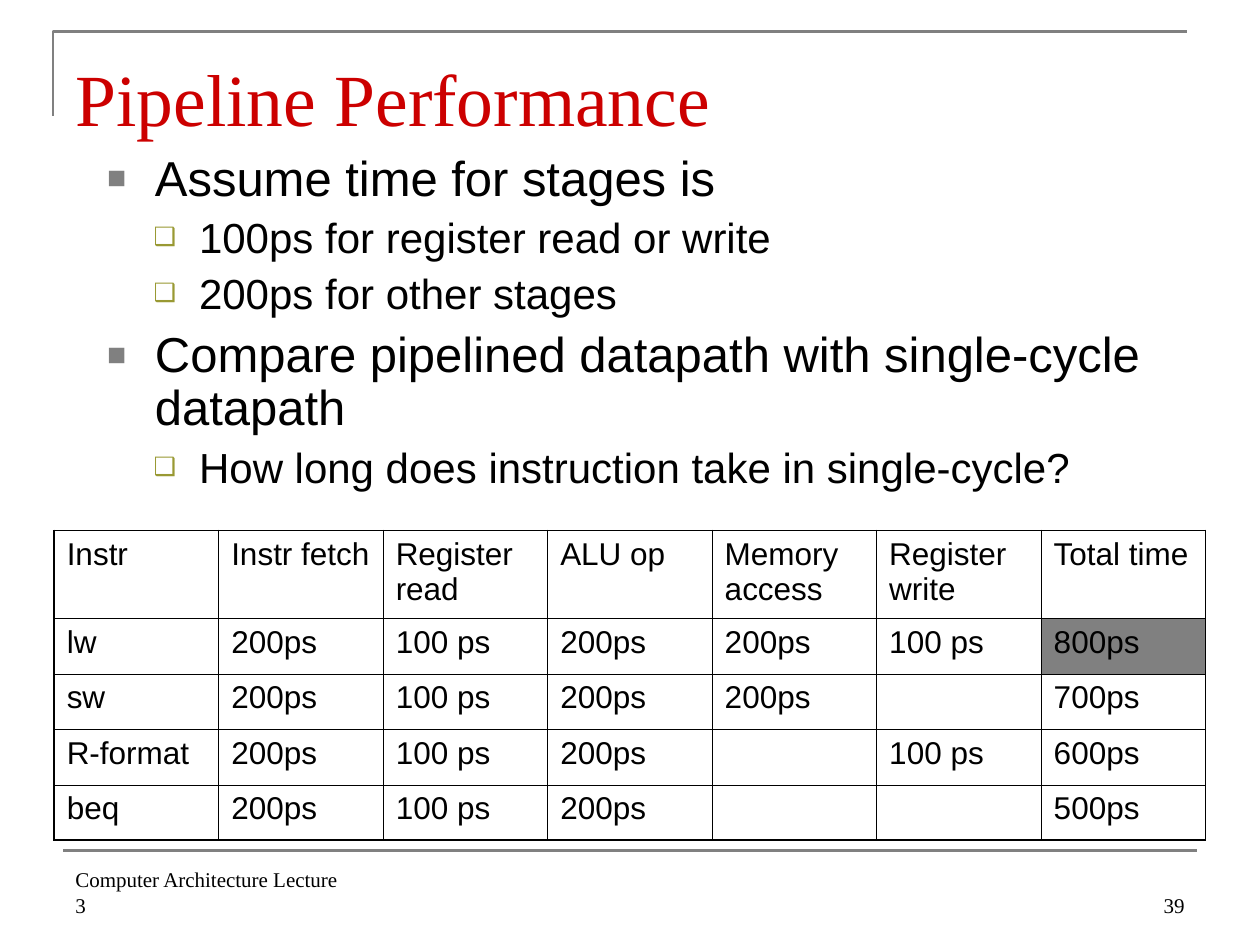
from dataclasses import dataclass

import pptx
import pptx.dml.color
import pptx.enum.shapes
import pptx.enum.text
import pptx.oxml
import pptx.oxml.ns
import pptx.util
from pptx.util import Inches


@dataclass(frozen=True)
class Theme:
    serif: str = "Times New Roman"
    sans: str = "Arial"
    title: str = "CC0000"
    text: str = "000000"
    gray: str = "808080"
    olive: str = "999933"
    title_size: int = 42
    body_sizes: tuple = (28, 24)
    table_size: int = 18
    footer_size: int = 12


THEME = Theme()
ALIGN = pptx.enum.text.PP_ALIGN
ANCHOR = pptx.enum.text.MSO_ANCHOR

# Per list level: bullet, colour, bullet size %, indent, hanging, space before
LEVELS = [
    ("■", THEME.gray, 65, 0.38, 0.38, 7),
    ("❑", THEME.olive, 60, 0.73, 0.36, 6),
]

BULLETS = [
    (0, "Assume time for stages is"),
    (1, "100ps for register read or write"),
    (1, "200ps for other stages"),
    (0, "Compare pipelined datapath with single-cycle datapath"),
    (1, "How long does instruction take in single-cycle?"),
]

STAGE_TIMES = [
    ["Instr", "Instr fetch", "Register read", "ALU op", "Memory access",
     "Register write", "Total time"],
    ["lw", "200ps", "100 ps", "200ps", "200ps", "100 ps", "800ps"],
    ["sw", "200ps", "100 ps", "200ps", "200ps", "", "700ps"],
    ["R-format", "200ps", "100 ps", "200ps", "", "100 ps", "600ps"],
    ["beq", "200ps", "100 ps", "200ps", "", "", "500ps"],
]
HIGHLIGHT = (1, 6)
OUTER, HEADER, INNER = 1.08, 0.75, 0.45


def rgb(color):
    return pptx.dml.color.RGBColor.from_string(color)


def add_xml(parent, xml):
    declared = xml.replace(" ", f" {pptx.oxml.ns.nsdecls('a')} ", 1)
    parent.append(pptx.oxml.parse_xml(declared))


def set_font(p, name, size, color):
    p.font.name = name
    p.font.size = pptx.util.Pt(size)
    p.font.color.rgb = rgb(color)


def set_line(shape):
    shape.line.color.rgb = rgb(THEME.gray)
    shape.line.width = pptx.util.Pt(1.5)


def place(shape, left, top, width, height):
    shape.left, shape.top = Inches(left), Inches(top)
    shape.width, shape.height = Inches(width), Inches(height)


def add_frame(s):
    builder = s.shapes.build_freeform(Inches(0.42), Inches(0.92))
    corner = [(Inches(0.42), Inches(0.25)), (Inches(9.42), Inches(0.25))]
    builder.add_line_segments(corner, close=False)
    bracket = builder.convert_to_shape()
    bracket.shadow.inherit = False
    bracket.fill.background()
    set_line(bracket)

    rule = s.shapes.add_connector(
        pptx.enum.shapes.MSO_CONNECTOR.STRAIGHT,
        Inches(0.5), Inches(6.75), Inches(9.5), Inches(6.75))
    set_line(rule)
    add_xml(rule.element.spPr, "<a:effectLst />")


def fill_title(title, text):
    place(title, 0.5, 0.3, 9, 0.78)
    tf = title.text_frame
    tf.auto_size = pptx.enum.text.MSO_AUTO_SIZE.NONE
    tf.vertical_anchor = ANCHOR.TOP
    tf.margin_top, tf.margin_bottom = Inches(0.12), 0
    p = tf.paragraphs[0]
    p.text = text
    p.alignment = ALIGN.LEFT
    set_font(p, THEME.serif, THEME.title_size, THEME.title)


def fill_body(body, bullets):
    place(body, 0.75, 1.17, 9.04, 2.84)
    tf = body.text_frame
    tf.auto_size = pptx.enum.text.MSO_AUTO_SIZE.NONE
    tf.vertical_anchor = ANCHOR.TOP
    for i, (level, text) in enumerate(bullets):
        char, color, percent, indent, hanging, before = LEVELS[level]
        p = tf.add_paragraph() if i else tf.paragraphs[0]
        p.text = text
        p.level = level
        p.line_spacing = 0.9
        p.space_before = pptx.util.Pt(before if i else 0)
        pPr = p._p.get_or_add_pPr()
        pPr.set("marL", str(Inches(indent)))
        pPr.set("indent", str(-Inches(hanging)))
        add_xml(pPr, f'<a:buClr ><a:srgbClr val="{color}"/></a:buClr>')
        add_xml(pPr, f'<a:buSzPct val="{percent * 1000}"/>')
        add_xml(pPr, f'<a:buChar char="{char}"/>')
        set_font(p, THEME.sans, THEME.body_sizes[level], THEME.text)


def set_borders(cell, **widths):
    tcPr = cell._tc.get_or_add_tcPr()
    for side in "LRTB":
        add_xml(tcPr, f'<a:ln{side} w="{pptx.util.Pt(widths[side])}">'
                      f'<a:solidFill><a:srgbClr val="{THEME.text}"/>'
                      f'</a:solidFill></a:ln{side}>')


def add_stage_table(s, rows):
    n_rows, n_cols = len(rows), len(rows[0])
    table = s.shapes.add_table(n_rows, n_cols, Inches(0.43), Inches(4.21),
                               Inches(9.14), Inches(2.46)).table
    table.first_row = table.horz_banding = False
    for r, texts in enumerate(rows):
        table.rows[r].height = Inches(0.44 if r else 0.7)
        for c, text in enumerate(texts):
            cell = table.cell(r, c)
            set_borders(
                cell,
                L=INNER if c else OUTER,
                R=OUTER if c == n_cols - 1 else INNER,
                T={0: OUTER, 1: HEADER}.get(r, INNER),
                B={0: HEADER, n_rows - 1: OUTER}.get(r, INNER))
            if (r, c) == HIGHLIGHT:
                cell.fill.solid()
                cell.fill.fore_color.rgb = rgb(THEME.gray)
            else:
                cell.fill.background()
            p = cell.text_frame.paragraphs[0]
            p.text = text
            set_font(p, THEME.sans, THEME.table_size, THEME.text)


def add_footer(s, left, text, align):
    box = s.shapes.add_textbox(Inches(left), Inches(6.83),
                               Inches(2.33), Inches(0.5))
    tf = box.text_frame
    tf.word_wrap = True
    tf.vertical_anchor = ANCHOR.BOTTOM
    p = tf.paragraphs[0]
    p.text = text
    p.alignment = align
    set_font(p, THEME.serif, THEME.footer_size, THEME.text)


def main():
    prs = pptx.Presentation()
    prs.slide_width, prs.slide_height = Inches(10), Inches(7.5)
    s = prs.slides.add_slide(prs.slide_layouts[1])

    # Frame lines
    add_frame(s)

    # Title and list
    fill_title(s.shapes.title, "Pipeline Performance")
    fill_body(s.placeholders[1], BULLETS)

    # Stage times
    add_stage_table(s, STAGE_TIMES)

    # Footer
    add_footer(s, 0.5, "Computer Architecture Lecture 3", ALIGN.LEFT)
    add_footer(s, 7.17, "39", ALIGN.RIGHT)

    prs.save("out.pptx")


if __name__ == "__main__":
    main()
